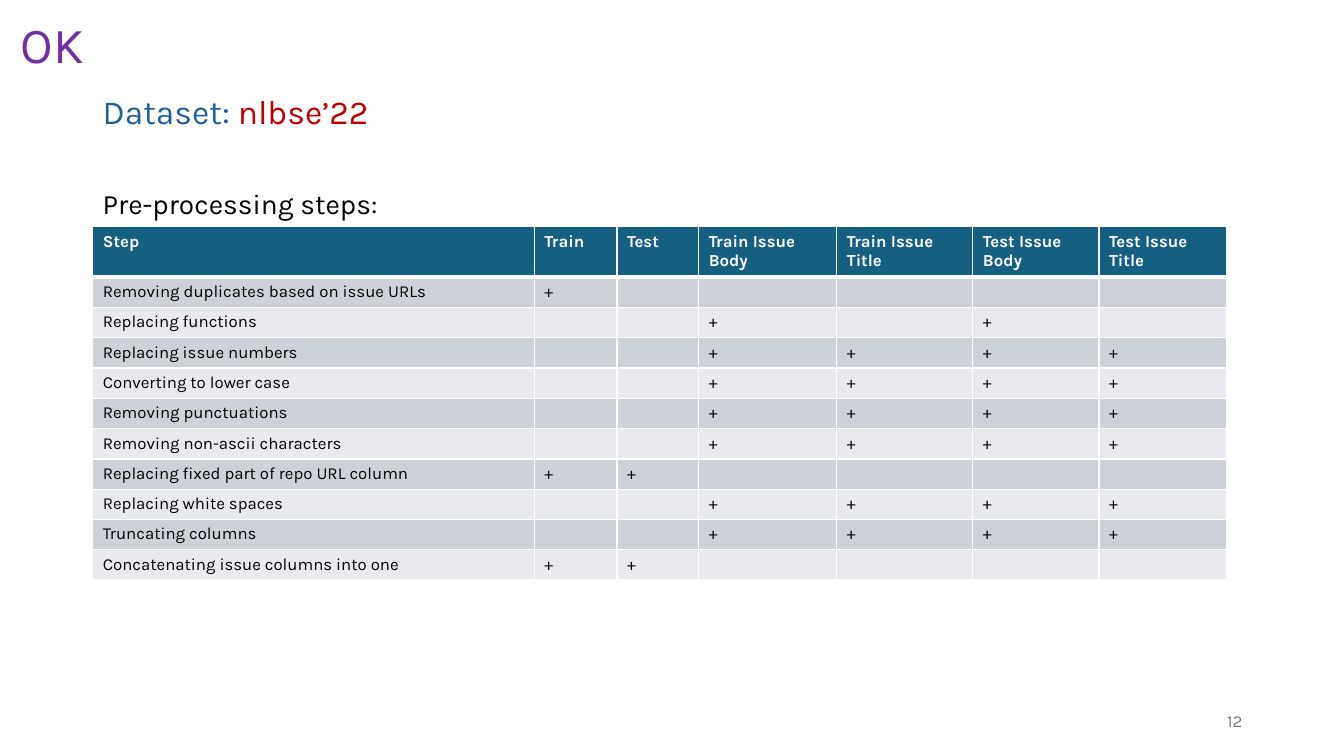
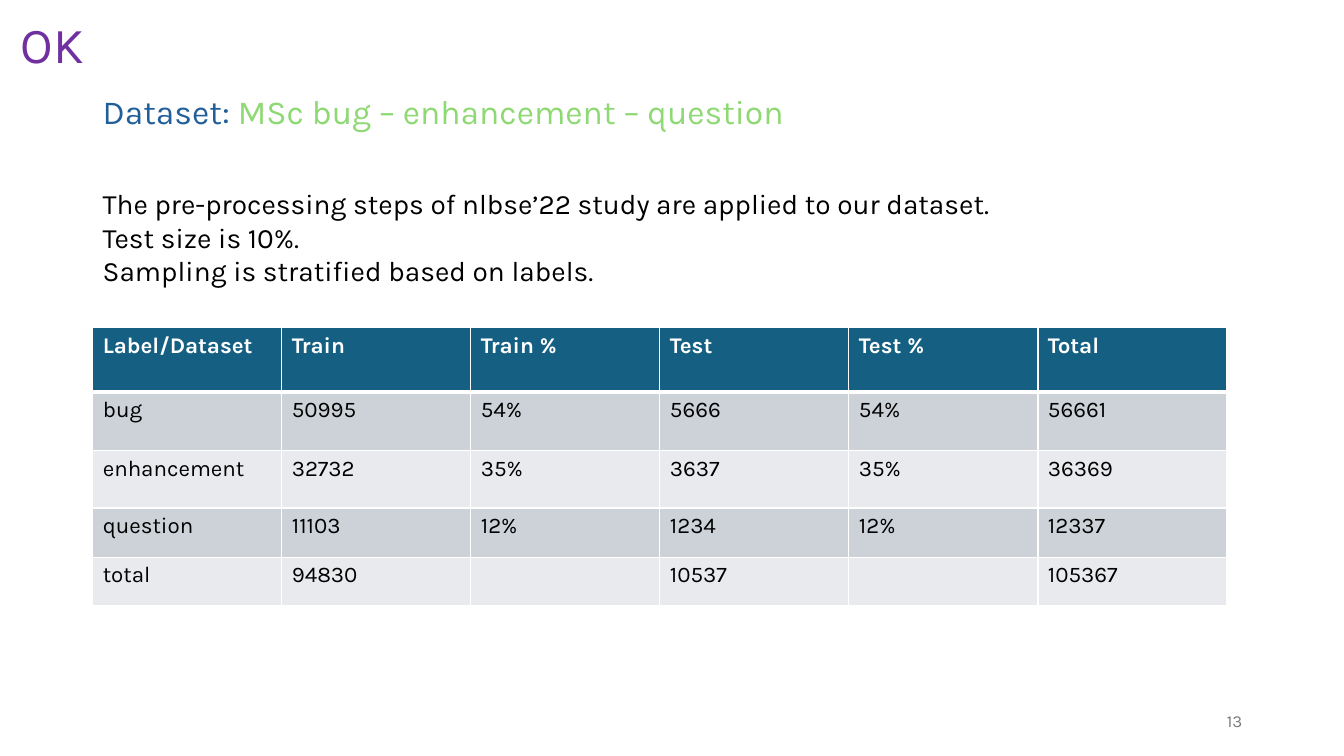
from lxml.etree import SubElement
from pptx import Presentation
from pptx.dml.color import RGBColor
from pptx.enum.text import MSO_ANCHOR as Anchor, PP_ALIGN as Align
from pptx.oxml.ns import qn
from pptx.util import Inches, Pt

FONT = "Karla"
COLORS = {
    "title": "215F9A", "study": "C00000", "msc": "8ED973",
    "status": "7030A0", "body": "000000", "page": "797979",
    "header": "156082", "header_text": "FFFFFF", "rule": "FFFFFF",
    "band_dark": "CCD2D8", "band_light": "E8EAED",
}
LEFT = 0.92
TABLE_WIDTH = 11.25

# Pre-processing: each step with the columns it applies to
STEP_HEADER = ["Step", "Train", "Test", "Train Issue Body", "Train Issue Title",
               "Test Issue Body", "Test Issue Title"]
STEP_WIDTHS = [4.38, 0.82, 0.81, 1.37, 1.35, 1.25, 1.27]
TRAIN_ONLY = {"Train"}
WHOLE_SETS = {"Train", "Test"}
BODIES = {"Train Issue Body", "Test Issue Body"}
ISSUE_TEXTS = BODIES | {"Train Issue Title", "Test Issue Title"}
STEPS = [
    ("Removing duplicates based on issue URLs", TRAIN_ONLY),
    ("Replacing functions", BODIES),
    ("Replacing issue numbers", ISSUE_TEXTS),
    ("Converting to lower case", ISSUE_TEXTS),
    ("Removing punctuations", ISSUE_TEXTS),
    ("Removing non-ascii characters", ISSUE_TEXTS),
    ("Replacing fixed part of repo URL column", WHOLE_SETS),
    ("Replacing white spaces", ISSUE_TEXTS),
    ("Truncating columns", ISSUE_TEXTS),
    ("Concatenating issue columns into one", WHOLE_SETS),
]

# Label counts in the train and test sets
LABEL_ROWS = [
    ["Label/Dataset", "Train", "Train %", "Test", "Test %", "Total"],
    ["bug", "50995", "54%", "5666", "54%", "56661"],
    ["enhancement", "32732", "35%", "3637", "35%", "36369"],
    ["question", "11103", "12%", "1234", "12%", "12337"],
    ["total", "94830", "", "10537", "", "105367"],
]


def rgb(color):
    return RGBColor.from_string(COLORS[color])


def add_run(paragraph, text, size, color, bold=False):
    run = paragraph.add_run()
    run.text = text
    font = run.font
    font.name, font.size, font.bold = FONT, Pt(size), bold
    font.color.rgb = rgb(color)


def add_text(slide, box, paragraphs, size, anchor=Anchor.TOP, align=Align.LEFT,
             line_spacing=None):
    """Each paragraph is a list of (text, color) runs."""
    frame = slide.shapes.add_textbox(*map(Inches, box)).text_frame
    frame.word_wrap = True
    frame.vertical_anchor = anchor
    for index, runs in enumerate(paragraphs):
        paragraph = frame.add_paragraph() if index else frame.paragraphs[0]
        paragraph.alignment = align
        if line_spacing:
            paragraph.line_spacing = line_spacing
        for text, color in runs:
            add_run(paragraph, text, size, color)


# Tables
def add_borders(cell, top, bottom):
    properties = cell._tc.get_or_add_tcPr()
    for side, width in (("L", 1), ("R", 1), ("T", top), ("B", bottom)):
        line = SubElement(properties, qn(f"a:ln{side}"), w=str(Pt(width)))
        fill = SubElement(line, qn("a:solidFill"))
        SubElement(fill, qn("a:srgbClr"), val=COLORS["rule"])


def fill_cell(cell, text, row, size):
    is_header = row == 0
    add_borders(cell, top=3 if row == 1 else 1, bottom=3 if is_header else 1)
    band = "band_dark" if row % 2 else "band_light"
    cell.fill.solid()
    cell.fill.fore_color.rgb = rgb("header" if is_header else band)
    paragraph = cell.text_frame.paragraphs[0]
    if text:
        add_run(paragraph, text, size, "header_text" if is_header else "body", is_header)
    else:
        # An empty cell needs the text size too, or its row grows
        end = SubElement(paragraph._p, qn("a:endParaRPr"), sz=str(size * 100))
        SubElement(end, qn("a:latin"), typeface=FONT)


def add_data_table(slide, top, rows, widths, heights, size):
    frame = slide.shapes.add_table(
        len(rows), len(widths), Inches(LEFT), Inches(top),
        Inches(TABLE_WIDTH), Inches(sum(heights)))
    table = frame.table
    table.horz_banding = False
    for column, width in zip(table.columns, widths):
        column.width = Inches(width)
    for row, height in zip(table.rows, heights):
        row.height = Inches(height)
    for r, texts in enumerate(rows):
        for c, text in enumerate(texts):
            fill_cell(table.cell(r, c), text, r, size)


# Parts shared by the slides
def add_dataset_slide(deck, page, dataset, dataset_color, body_lines, body_height):
    slide = deck.slides.add_slide(deck.slide_layouts[6])
    add_text(slide, (LEFT, 1.8, 11.5, body_height),
             [[(line, "body")] for line in body_lines], 20)
    add_text(slide, (0.11, 0.08, 2.13, 0.71), [[("OK", "status")]], 36)
    add_text(slide, (LEFT, 0.4, 12.41, 1.45),
             [[("Dataset: ", "title"), (dataset, dataset_color)]], 24,
             anchor=Anchor.MIDDLE, line_spacing=0.9)
    add_text(slide, (9.42, 6.95, 3, 0.4), [[(str(page), "page")]], 12,
             anchor=Anchor.MIDDLE, align=Align.RIGHT)
    return slide


def main():
    deck = Presentation()
    deck.slide_width, deck.slide_height = Inches(13.33), Inches(7.5)

    # Pre-processing steps
    steps_slide = add_dataset_slide(deck, 12, "nlbse’22", "study",
                                    ["Pre-processing steps:"], 1.75)
    step_rows = [STEP_HEADER] + [
        [step] + ["+" if column in applies_to else "" for column in STEP_HEADER[1:]]
        for step, applies_to in STEPS]
    add_data_table(steps_slide, 2.25, step_rows, STEP_WIDTHS,
                   [0.5] + [0.3] * len(STEPS), 12)

    # Label distribution
    labels_slide = add_dataset_slide(
        deck, 13, "MSc bug – enhancement – question", "msc",
        ["The pre-processing steps of nlbse’22 study are applied to our dataset.",
         "Test size is 10%.",
         "Sampling is stratified based on labels."], 2.09)
    label_count = len(LABEL_ROWS[0])
    add_data_table(labels_slide, 3.25, LABEL_ROWS,
                   [TABLE_WIDTH / label_count] * label_count,
                   [0.64, 0.58, 0.57, 0.49, 0.48], 16)

    deck.save("out.pptx")


if __name__ == "__main__":
    main()
